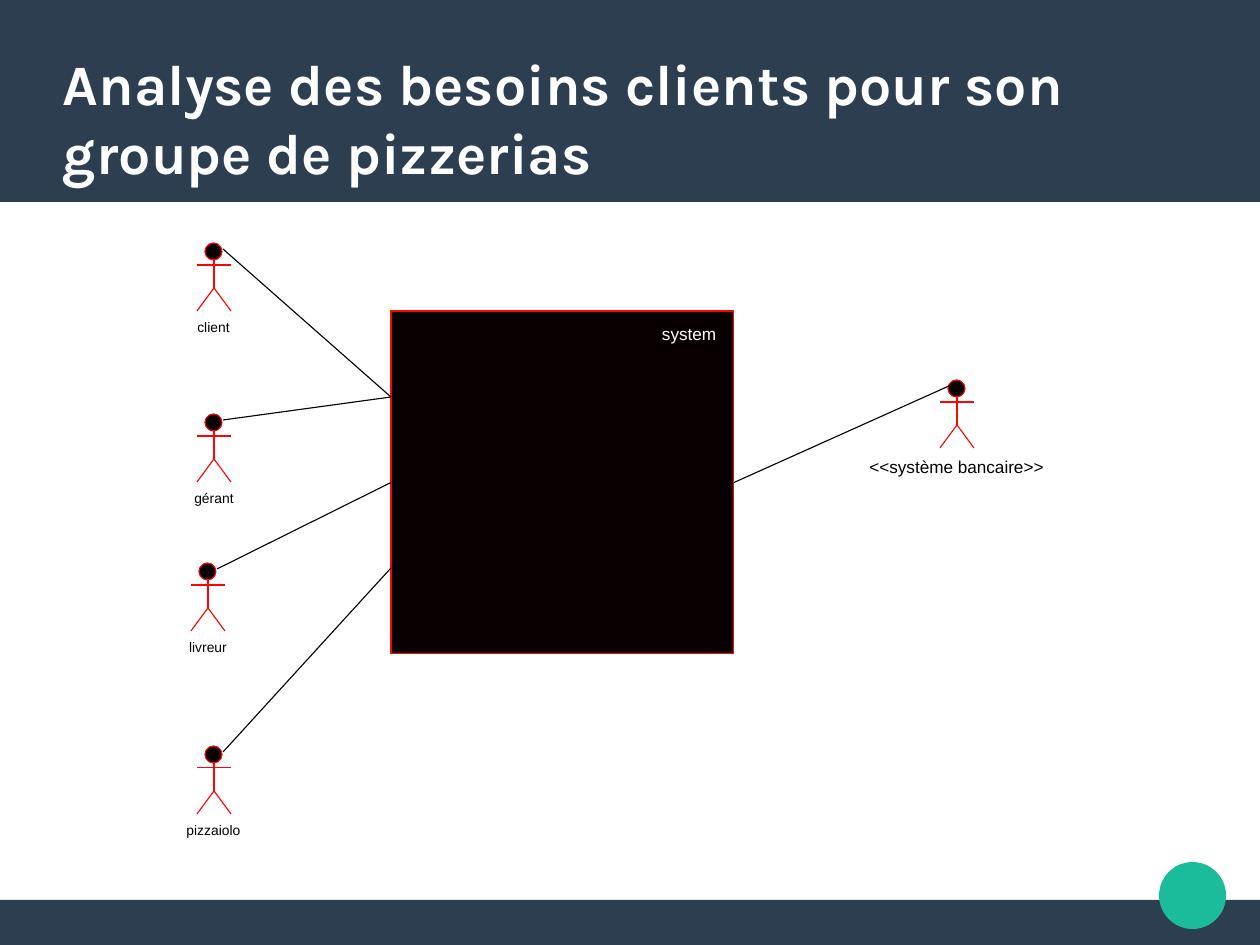
from lxml.etree import SubElement
from pptx import Presentation
from pptx.dml.color import RGBColor
from pptx.enum.shapes import MSO_CONNECTOR as Connector, MSO_SHAPE as Shape
from pptx.enum.text import MSO_ANCHOR as Anchor, MSO_AUTO_SIZE as AutoSize, PP_ALIGN as Align
from pptx.oxml.ns import qn
from pptx.util import Emu, Pt

NAVY = RGBColor(0x2C, 0x3E, 0x50)
TEAL = RGBColor(0x1A, 0xBC, 0x9C)
WHITE = RGBColor(0xFF, 0xFF, 0xFF)
BLACK = RGBColor(0x00, 0x00, 0x00)
INK = RGBColor(0x08, 0x00, 0x00)
RED = RGBColor(0xFF, 0x03, 0x03)

SCALE = 8000
SLIDE_WIDTH, SLIDE_HEIGHT = 1260, 945
SYSTEM_LEFT, SYSTEM_TOP, SYSTEM_SIDE = 391, 311, 343
LEFT_SIDE, RIGHT_SIDE = 1, 3


def px(value):
    return Emu(value * SCALE)


def write_text(shape, text, font="Arial", size=8.7, color=BLACK, bold=False,
               align=Align.CENTER, anchor=Anchor.TOP, wrap=False):
    frame = shape.text_frame
    frame.auto_size = AutoSize.NONE
    frame.word_wrap = wrap
    frame.vertical_anchor = anchor
    frame.margin_left = frame.margin_right = frame.margin_top = frame.margin_bottom = 0
    paragraph = frame.paragraphs[0]
    paragraph.alignment = align
    run = paragraph.add_run()
    run.text = text
    run.font.name = font
    run.font.size = Pt(size)
    run.font.bold = bold
    run.font.color.rgb = color


class UseCaseSlide:
    line_width = Pt(0.71)

    def __init__(self, presentation):
        self.slide = presentation.slides.add_slide(presentation.slide_layouts[5])
        self.shapes = self.slide.shapes

    def title(self, text, left, top, width, height):
        title = self.shapes.title
        title.left, title.top, title.width, title.height = map(px, (left, top, width, height))
        write_text(title, text, font="Karla", size=36, color=WHITE, bold=True,
                   align=Align.LEFT, anchor=Anchor.MIDDLE, wrap=True)
        self.shapes._spTree.append(title._element)

    def block(self, kind, left, top, width, height, fill, outline=None):
        shape = self.shapes.add_shape(kind, *map(px, (left, top, width, height)))
        shape.shadow.inherit = False
        shape.fill.solid()
        shape.fill.fore_color.rgb = fill
        self.outline(shape, outline)
        return shape

    def outline(self, shape, color):
        if color is None:
            shape.line.fill.background()
        else:
            shape.line.color.rgb = color
            shape.line.width = self.line_width

    def label(self, text, left, top, width, height, **text_format):
        box = self.shapes.add_textbox(*map(px, (left, top, width, height)))
        write_text(box, text, **text_format)

    def actor(self, name, center, top, label_width, label_height=17, **text_format):
        self.block(Shape.OVAL, center - 9, top, 17, 17, INK, RED)
        neck, shoulder, hip, foot = (top + drop for drop in (16, 22, 45, 68))
        limbs = [((center, shoulder), (center - 17, shoulder)),
                 ((center, shoulder), (center + 17, shoulder)),
                 ((center, hip), (center - 17, foot)),
                 ((center, hip), (center + 17, foot))]
        builder = self.shapes.build_freeform(center, neck, scale=SCALE)
        builder.add_line_segments([(center, hip)], close=False)
        for joint, tip in limbs:
            builder.move_to(*joint)
            builder.add_line_segments([tip], close=False)
        body = builder.convert_to_shape()
        body.shadow.inherit = False
        body.fill.background()
        self.outline(body, RED)
        self.label(name, center - (label_width + 1) // 2, top + 76,
                   label_width, label_height, **text_format)

    def link(self, start, end):
        line = self.shapes.add_connector(Connector.STRAIGHT, *map(px, start + end))
        self.outline(line, BLACK)
        SubElement(line._element.spPr, qn("a:effectLst"))
        return line


def main():
    presentation = Presentation()
    presentation.slide_width = px(SLIDE_WIDTH)
    presentation.slide_height = px(SLIDE_HEIGHT)
    page = UseCaseSlide(presentation)

    page.block(Shape.RECTANGLE, 0, 900, SLIDE_WIDTH, 45, NAVY)
    page.block(Shape.RECTANGLE, 0, 0, SLIDE_WIDTH, 202, NAVY)
    page.block(Shape.OVAL, 1159, 862, 67, 67, TEAL)
    page.title("Analyse des besoins clients pour son groupe de pizzerias", 63, 38, 1134, 158)

    system = page.block(Shape.RECTANGLE, SYSTEM_LEFT, SYSTEM_TOP,
                        SYSTEM_SIDE, SYSTEM_SIDE, INK, RED)
    page.label("system", 662, 323, 55, 22, size=10.8, color=WHITE, align=Align.LEFT)

    staff = [("client", 214, 243, 33, 1), ("gérant", 214, 414, 40, 1),
             ("livreur", 208, 563, 38, 2), ("pizzaiolo", 214, 746, 55, 3)]
    for name, center, top, label_width, step in staff:
        page.actor(name, center, top, label_width)
        line = page.link((center + 9, top + 6),
                         (SYSTEM_LEFT, SYSTEM_TOP + round(SYSTEM_SIDE * step / 4)))
        if step == 2:
            line.end_connect(system, LEFT_SIDE)

    page.actor("<<système bancaire>>", 957, 380, 175, label_height=22, size=10.8)
    bank_line = page.link((SYSTEM_LEFT + SYSTEM_SIDE, SYSTEM_TOP + SYSTEM_SIDE // 2), (949, 386))
    bank_line.begin_connect(system, RIGHT_SIDE)

    presentation.save("out.pptx")


if __name__ == "__main__":
    main()
